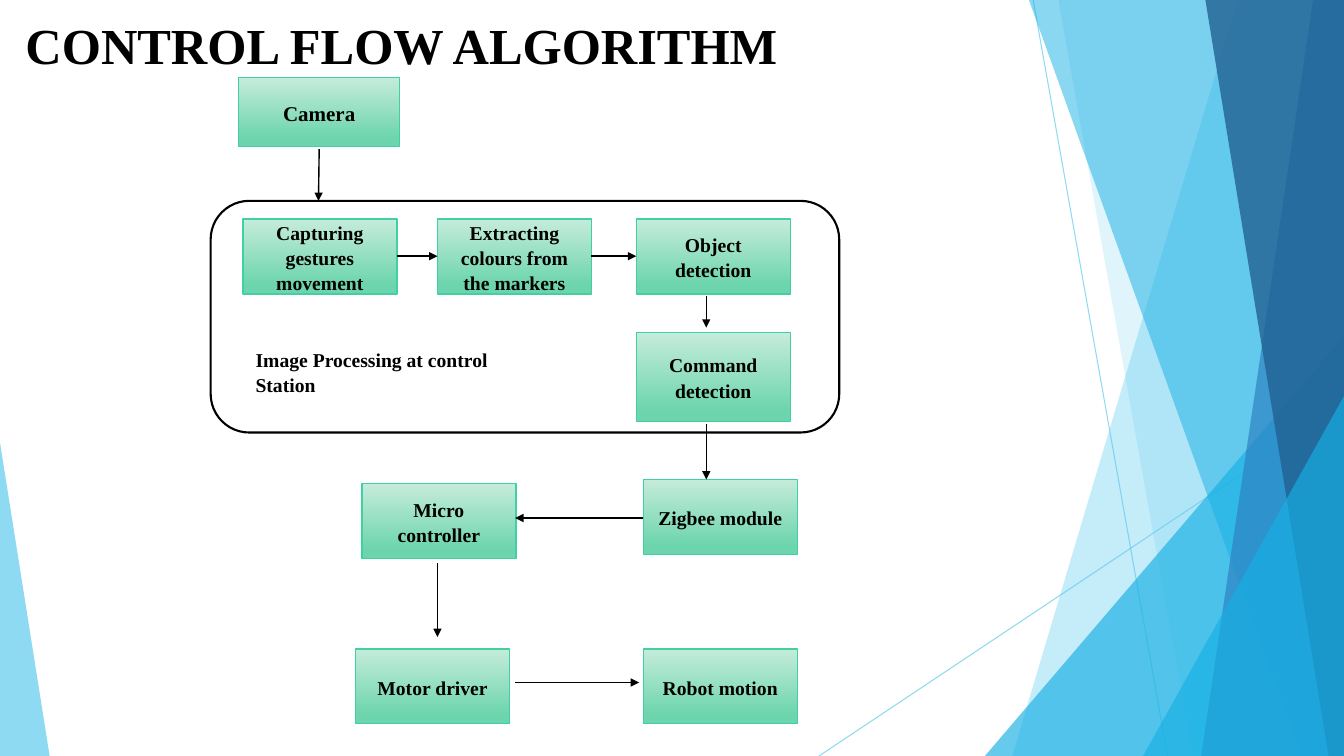
from lxml import etree
from pptx import Presentation
from pptx.dml import color
from pptx.enum import shapes, text
from pptx.oxml import ns
from pptx.util import Pt

FONT = {"name": "Times New Roman", "bold": True}
NODE_W, NODE_H = 110, 53.5

FACETS = [
    (884, 0, 723, "5FCBEF", 36),
    (756, 0, 852, "5FCBEF", 20),
    (960, 240, 703.5, "17B0E4", 66),
    (735, 0, 929.5, "17B0E4", 50),
    (938, 0, 858, "2E83C3", 70),
    (861, 0, 949, "226292", 80),
    (960, 283, 816.5, "17B0E4", 66),
]
NODES = [
    ("Camera", 20.5, 0.5, 115, 49, 15),
    ("Capturing gestures movement", 23.5, 101.5, NODE_W, NODE_H, 14),
    ("Extracting colours from the markers", 162.5, 101.5, NODE_W, NODE_H, 14),
    ("Object detection", 304.5, 101.5, NODE_W, NODE_H, 14),
    ("Command detection", 304.5, 182.5, NODE_W, 63.5, 14),
    ("Micro controller", 108.5, 290.5, NODE_W, NODE_H, 14),
    ("Motor driver", 104, 408.5, NODE_W, NODE_H, 14),
    ("Robot motion", 309.5, 408.5, NODE_W, NODE_H, 14),
    ("Zigbee module", 309.5, 287.5, NODE_W, NODE_H, 14),
]
ARROWS = [
    (78, 51.5, 77.5, 88.5),
    (133.5, 128, 162.5, 128),
    (272.5, 128, 304.5, 128),
    (354.5, 156.5, 354.5, 179),
    (354.5, 248, 354.5, 287.5),
    (309.5, 315, 218, 315),
    (162.5, 347.5, 162.5, 400),
    (218, 432.5, 306.5, 432.5),
]


def rgb(value):
    """Turn a hex string into a colour."""
    return color.RGBColor.from_string(value)


def fmt(obj, values):
    """Set attributes from a dict of format values."""
    for key, value in values.items():
        setattr(obj, key, value)


def fade(sp, percent):
    """Make the colours of a shape partly transparent."""
    for clr in sp.element.spPr.iter(ns.qn("a:srgbClr")):
        etree.SubElement(clr, ns.qn("a:alpha"), val=str(percent * 1000))


def outline(sp, hex_value, width):
    """Give a shape or connector a solid line."""
    sp.line.color.rgb = rgb(hex_value)
    sp.line.width = Pt(width)


def write(sp, words, size, para=None, frame=None):
    """Put one formatted paragraph into a shape."""
    tf = sp.text_frame
    fmt(tf, {"word_wrap": True, "auto_size": text.MSO_AUTO_SIZE.NONE, **(frame or {})})
    p = tf.paragraphs[0]
    fmt(p, para or {})
    r = p.add_run()
    r.text = words
    fmt(r.font, {**FONT, "size": Pt(size)})
    r.font.color.rgb = rgb("000000")


def connect(s, x1, y1, x2, y2, hex_value, width):
    """Draw a straight line without a shadow."""
    sp = s.shapes.add_connector(shapes.MSO_CONNECTOR.STRAIGHT, Pt(x1), Pt(y1), Pt(x2), Pt(y2))
    outline(sp, hex_value, width)
    etree.SubElement(sp.element.spPr, ns.qn("a:effectLst"))
    return sp


def block(s, kind, x, y, w, h):
    """Add a preset shape without a shadow."""
    sp = s.shapes.add_shape(kind, Pt(x), Pt(y), Pt(w), Pt(h))
    sp.shadow.inherit = False
    return sp


def facet(s, points, hex_value, percent):
    """Draw one translucent polygon."""
    points = [(Pt(x), Pt(y)) for x, y in points]
    fb = s.shapes.build_freeform(*points[0], scale=1.0)
    fb.add_line_segments(points[1:], close=True)
    sp = fb.convert_to_shape()
    sp.shadow.inherit = False
    sp.fill.solid()
    sp.fill.fore_color.rgb = rgb(hex_value)
    sp.line.fill.background()
    fade(sp, percent)


def backdrop(s, x, y, w, h):
    """Draw the facets along both sides of the box."""
    for x1, y1, x2, y2 in [(738, 0, 834, h), (w, 290, 585, h)]:
        fade(connect(s, x + x1, y + y1, x + x2, y + y2, "5FCBEF", 0.75), 70)
    for top_x, top_y, foot_x, hex_value, percent in FACETS:
        points = [(x + top_x, y + top_y), (x + w, y + top_y), (x + w, y + h), (x + foot_x, y + h)]
        facet(s, list(dict.fromkeys(points)), hex_value, percent)
    facet(s, [(x, y + 316), (x + 35.5, y + h), (x, y + h)], "5FCBEF", 70)


def heading(s, x, y, w, h):
    """Place the title in the box."""
    sp = s.shapes.title
    fmt(sp, {"left": Pt(x), "top": Pt(y), "width": Pt(w), "height": Pt(h)})
    write(sp, "CONTROL FLOW ALGORITHM", 36, {"alignment": text.PP_ALIGN.LEFT},
          {"vertical_anchor": text.MSO_ANCHOR.MIDDLE})


def node(s, words, x, y, w, h, size):
    """Draw one green step of the flow."""
    sp = block(s, shapes.MSO_SHAPE.RECTANGLE, x, y, w, h)
    sp.fill.gradient()
    sp.fill.gradient_angle = 270
    for stop, (position, hex_value) in zip(sp.fill.gradient_stops, [(0, "C5ECDB"), (0.88, "6DD5AE")]):
        stop.position = position
        stop.color.rgb = rgb(hex_value)
    outline(sp, "42D0A2", 1)
    write(sp, words, size,
          {"alignment": text.PP_ALIGN.CENTER, "line_spacing": 1.07, "space_after": Pt(8)},
          {"vertical_anchor": text.MSO_ANCHOR.MIDDLE})


def station(s, x, y, w, h):
    """Draw the rounded frame of the control station."""
    sp = block(s, shapes.MSO_SHAPE.ROUNDED_RECTANGLE, x, y, w, h)
    sp.fill.solid()
    sp.fill.fore_color.rgb = rgb("FFFFFF")
    outline(sp, "000000", 1.5)


def caption(s, x, y, w, h):
    """Write the name of the control station."""
    sp = s.shapes.add_textbox(Pt(x), Pt(y), Pt(w), Pt(h))
    write(sp, "Image Processing at control Station", 14,
          {"line_spacing": 1.07, "space_after": Pt(8)})


def flow(s, x, y, w, h):
    """Draw the flowchart in the box."""
    station(s, x + 0.5, y + 88.5, w, 165.5)
    for words, left, top, width, height, size in NODES:
        node(s, words, x + left, y + top, width, height, size)
    caption(s, x + 25.5, y + 188.5, w / 2, 47)
    for x1, y1, x2, y2 in ARROWS:
        sp = connect(s, x + x1, y + y1, x + x2, y + y2, "000000", 1)
        etree.SubElement(sp.get_or_add_ln(), ns.qn("a:tailEnd"), type="triangle")


def main():
    """Build and save the slide."""
    prs = Presentation()
    fmt(prs, {"slide_width": Pt(960), "slide_height": Pt(540)})
    s = prs.slides.add_slide(prs.slide_layouts[5])
    backdrop(s, 0, 0, 960, 540)
    flow(s, 150, 55, 449, 462)
    heading(s, 11, 0.5, 677, 62)
    prs.save("out.pptx")


if __name__ == "__main__":
    main()
